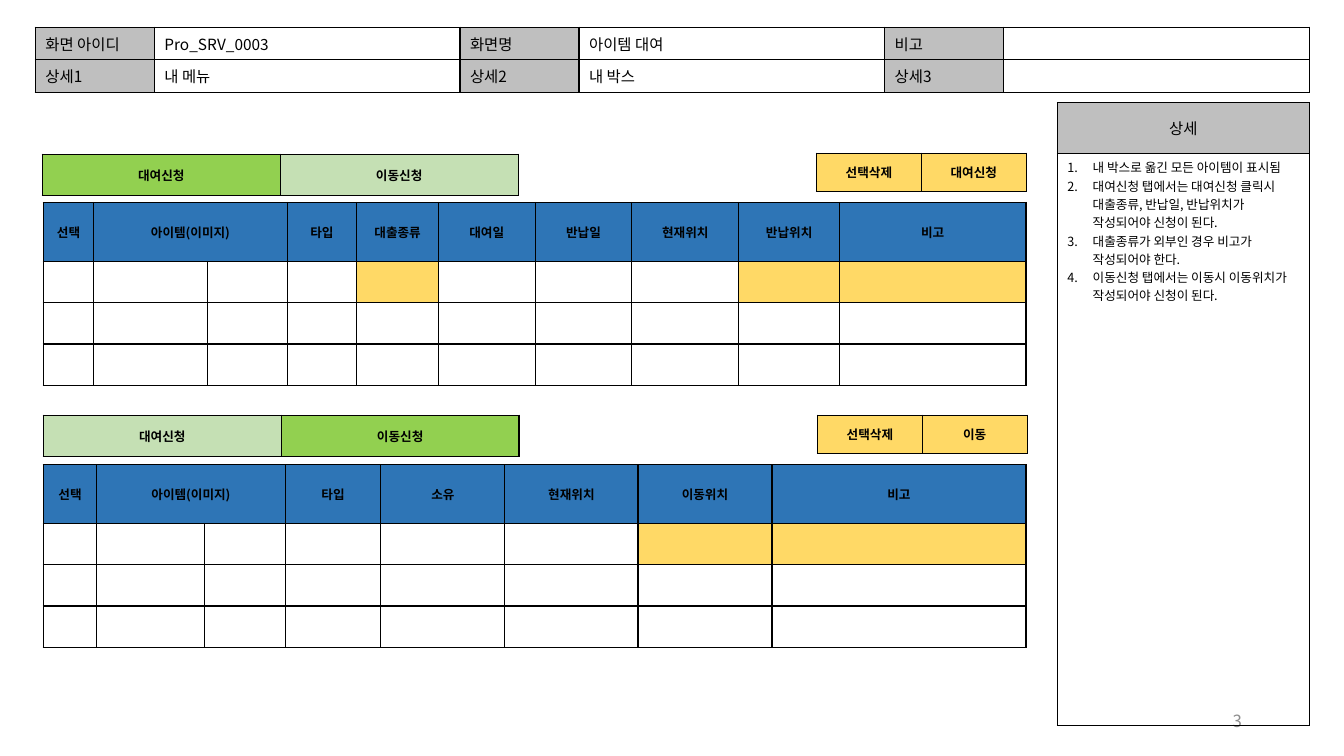
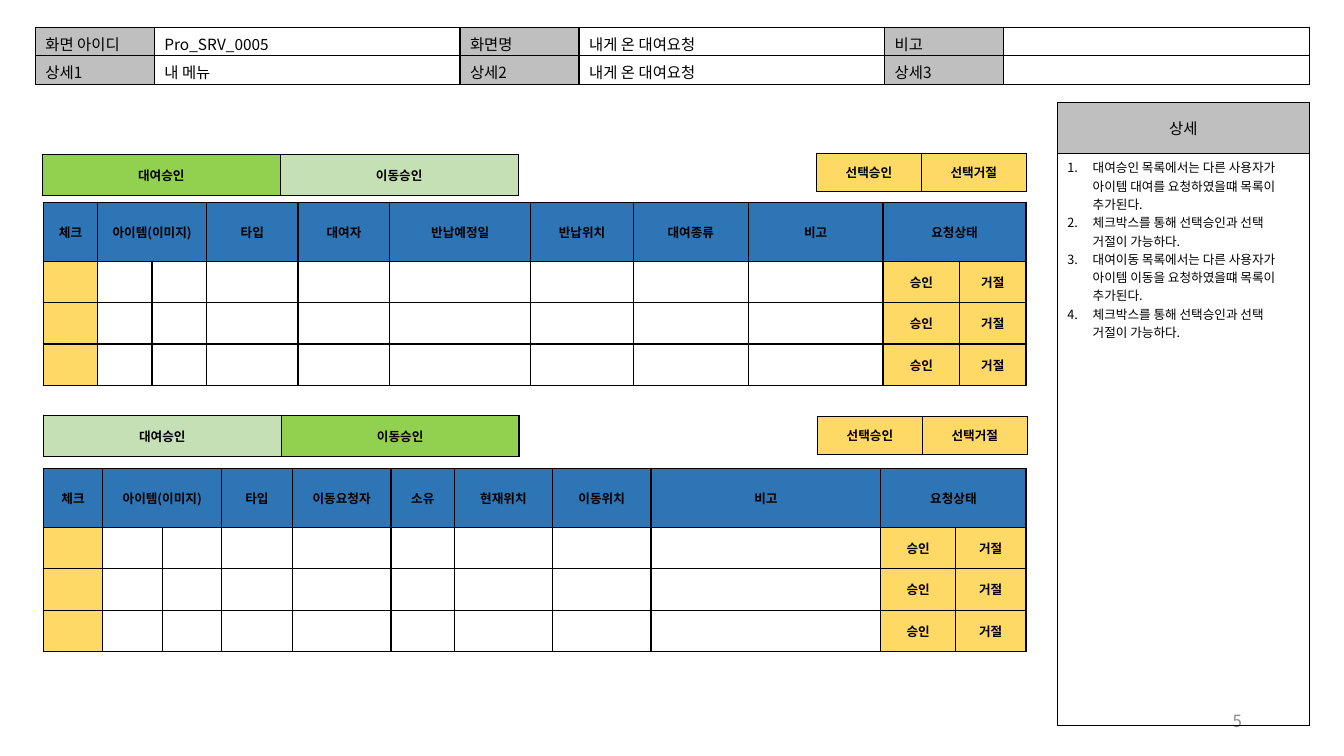
from copy import deepcopy
from dataclasses import dataclass
from typing import NamedTuple

from lxml import etree
from pptx import Presentation
from pptx.dml.color import RGBColor
from pptx.enum.text import MSO_ANCHOR, PP_ALIGN
from pptx.oxml.ns import qn
from pptx.util import Inches, Pt

# Slide grid: 160 columns by 90 rows of square units
UNIT = Inches(13.3333) // 160
SLIDE_COLUMNS, SLIDE_ROWS = 160, 90

FONT = "Noto Sans CJK KR"
BLACK = RGBColor(0x00, 0x00, 0x00)
NUMBER_GRAY = RGBColor(0x8C, 0x8C, 0x8C)
LABEL_GRAY = RGBColor(0xBF, 0xBF, 0xBF)
HEAD_BLUE = RGBColor(0x2E, 0x75, 0xB6)
YELLOW = RGBColor(0xFF, 0xD9, 0x66)
ACTIVE_GREEN = RGBColor(0x92, 0xD0, 0x50)
PALE_GREEN = RGBColor(0xC5, 0xE0, 0xB4)

GRID_LEFT, GRID_WIDTH = 5.16, 117
GRID_HEIGHTS = (7, 4.92, 4.92, 4.92)
ACTIONS_OFFSET = 92.16


@dataclass(frozen=True)
class Cell:
    lines: tuple[str, ...] = ("",)
    fill: RGBColor | None = None
    size: float = 18
    bold: bool = False
    align: PP_ALIGN = PP_ALIGN.LEFT
    anchor: MSO_ANCHOR = MSO_ANCHOR.MIDDLE
    numbered: bool = False
    span: int = 1


class Column(NamedTuple):
    title: str
    widths: tuple[int, ...]
    marked_rows: int = 0
    entries: tuple[str, ...] = ()


class Section(NamedTuple):
    left: float
    tabs_top: float
    actions_top: float
    grid_top: float
    active_tab: int
    actions: tuple[str, str]
    columns: tuple[Column, ...]


class Screen(NamedTuple):
    number: str
    code: str
    name: str
    detail: str
    tabs: tuple[str, str]
    notes: tuple[str, ...]
    sections: tuple[Section, ...]


def units(count: float) -> int:
    return round(count * UNIT)


def style_paragraph(para, text: str, size: float, color: RGBColor,
                    bold: bool, align: PP_ALIGN) -> None:
    para.alignment = align
    font = para.font
    font.size, font.name, font.bold = Pt(size), FONT, bold
    font.color.rgb = color
    defaults = para._p.pPr.find(qn("a:defRPr"))
    etree.SubElement(defaults, qn("a:ea"), typeface=FONT)
    if text:
        para.add_run().text = text
    else:
        # An empty line keeps the height of its font
        end = etree.SubElement(para._p, qn("a:endParaRPr"), dict(defaults.attrib))
        end.extend(deepcopy(child) for child in defaults)


def number_paragraph(para) -> None:
    properties = para._p.get_or_add_pPr()
    properties.set("marL", str(Inches(0.25)))
    properties.set("indent", str(-Inches(0.25)))
    bullet = etree.Element(qn("a:buAutoNum"), type="arabicPeriod")
    properties.find(qn("a:defRPr")).addprevious(bullet)


def add_borders(box) -> None:
    properties = box._tc.get_or_add_tcPr()
    for index, side in enumerate(("lnL", "lnR", "lnT", "lnB")):
        line = etree.Element(qn(f"a:{side}"), w=str(Pt(1)))
        fill = etree.SubElement(line, qn("a:solidFill"))
        etree.SubElement(fill, qn("a:srgbClr"), val=str(BLACK))
        properties.insert(index, line)


def fill_cell(box, cell: Cell) -> None:
    box.vertical_anchor = cell.anchor
    if cell.fill is None:
        box.fill.background()
    else:
        box.fill.solid()
        box.fill.fore_color.rgb = cell.fill
    add_borders(box)
    frame = box.text_frame
    for index, text in enumerate(cell.lines):
        para = frame.add_paragraph() if index else frame.paragraphs[0]
        style_paragraph(para, text, cell.size, BLACK, cell.bold, cell.align)
        if cell.numbered:
            number_paragraph(para)


def draw_table(page, left: float, top: float, width: float, shares: tuple[int, ...],
               heights: tuple[float, ...], rows: list[list[Cell]]) -> None:
    table = page.shapes.add_table(len(heights), len(shares), units(left), units(top),
                                  units(width), units(sum(heights))).table
    table.first_row = table.horz_banding = False
    for column, share in zip(table.columns, shares):
        column.width = units(width * share / sum(shares))
    for row, height in zip(table.rows, heights):
        row.height = units(height)
    for r, cells in enumerate(rows):
        for c, cell in enumerate(cells):
            fill_cell(table.cell(r, c), cell)
            if cell.span > 1:
                table.cell(r, c).merge(table.cell(r, c + cell.span - 1))


def button(text: str, fill: RGBColor, span: int = 1) -> Cell:
    return Cell((text,), fill, 9, True, PP_ALIGN.CENTER, span=span)


def draw_header(page, screen: Screen) -> None:
    pairs = ((("화면 아이디", screen.code), ("화면명", screen.name), ("비고", "")),
             (("상세1", "내 메뉴"), ("상세2", screen.detail), ("상세3", "")))
    rows = [[cell for label, value in line
             for cell in (Cell((label,), LABEL_GRAY, 11), Cell((value,), size=11))]
            for line in pairs]
    draw_table(page, 4.2, 3.24, 151.68, (118, 303) * 3, (2.88, 2.88), rows)


def draw_page_number(page, number: str) -> None:
    box = page.shapes.add_textbox(units(113.04), units(83.4), units(36), units(4.8))
    frame = box.text_frame
    frame.word_wrap = True
    frame.vertical_anchor = MSO_ANCHOR.MIDDLE
    style_paragraph(frame.paragraphs[0], number, 12, NUMBER_GRAY, False, PP_ALIGN.RIGHT)


def draw_notes(page, notes: tuple[str, ...]) -> None:
    title = Cell(("상세",), LABEL_GRAY, 11, align=PP_ALIGN.CENTER)
    body = Cell(notes, size=9, anchor=MSO_ANCHOR.TOP, numbered=True)
    draw_table(page, 125.88, 12.24, 30, (1,), (6, 68.16), [[title], [body]])


def draw_grid(page, section: Section) -> None:
    head: list[Cell] = []
    for column in section.columns:
        span = len(column.widths)
        head.append(button(column.title, HEAD_BLUE, span))
        head.extend([Cell(fill=HEAD_BLUE)] * (span - 1))
    rows = [head]
    for index in range(len(GRID_HEIGHTS) - 1):
        row: list[Cell] = []
        for column in section.columns:
            if column.entries:
                row.extend(button(entry, YELLOW) for entry in column.entries)
            else:
                fill = YELLOW if index < column.marked_rows else None
                row.extend([Cell(fill=fill)] * len(column.widths))
        rows.append(row)
    shares = tuple(width for column in section.columns for width in column.widths)
    draw_table(page, GRID_LEFT, section.grid_top, GRID_WIDTH, shares, GRID_HEIGHTS, rows)


def draw_section(page, section: Section, tabs: tuple[str, str]) -> None:
    draw_grid(page, section)
    tab_cells = [button(tab, ACTIVE_GREEN if index == section.active_tab else PALE_GREEN)
                 for index, tab in enumerate(tabs)]
    draw_table(page, section.left, section.tabs_top, 56.64, (1, 1), (4.92,), [tab_cells])
    action_cells = [button(action, YELLOW) for action in section.actions]
    draw_table(page, section.left + ACTIONS_OFFSET, section.actions_top, 24.96,
               (1, 1), (4.56,), [action_cells])


def draw_screen(deck, screen: Screen) -> None:
    page = deck.slides.add_slide(deck.slide_layouts[6])
    draw_header(page, screen)
    draw_page_number(page, screen.number)
    draw_notes(page, screen.notes)
    for section in screen.sections:
        draw_section(page, section, screen.tabs)


# Screen contents
ITEM = "아이템(이미지)"
DECISIONS = ("승인", "거절")
APPROVAL_ACTIONS = ("선택승인", "선택거절")
APPROVAL_NOTE = "체크박스를 통해 선택승인과 선택 거절이 가능하다."

RENTAL = Screen(
    "3", "Pro_SRV_0003", "아이템 대여", "내 박스", ("대여신청", "이동신청"),
    ("내 박스로 옮긴 모든 아이템이 표시됨",
     "대여신청 탭에서는 대여신청 클릭시 대출종류, 반납일, 반납위치가 작성되어야 신청이 된다.",
     "대출종류가 외부인 경우 비고가 작성되어야 한다.",
     "이동신청 탭에서는 이동시 이동위치가 작성되어야 신청이 된다."),
    (Section(5.04, 18.36, 18.24, 24.12, 0, ("선택삭제", "대여신청"), (
        Column("선택", (50,)), Column(ITEM, (113, 79)), Column("타입", (69,)),
        Column("대출종류", (81,), 1), Column("대여일", (96,)), Column("반납일", (96,)),
        Column("현재위치", (106,)), Column("반납위치", (100,), 1),
        Column("비고", (185,), 1))),
     Section(5.16, 49.44, 49.44, 55.32, 1, ("선택삭제", "이동"), (
        Column("선택", (53,)), Column(ITEM, (107, 80)), Column("타입", (95,)),
        Column("소유", (123,)), Column("현재위치", (132,)),
        Column("이동위치", (133,), 1), Column("비고", (252,), 1)))))

REQUESTS = Screen(
    "5", "Pro_SRV_0005", "내게 온 대여요청", "내게 온 대여요청", ("대여승인", "이동승인"),
    ("대여승인 목록에서는 다른 사용자가 아이템 대여를 요청하였을떄 목록이 추가된다.",
     APPROVAL_NOTE,
     "대여이동 목록에서는 다른 사용자가 아이템 이동을 요청하였을떄 목록이 추가된다.",
     APPROVAL_NOTE),
    (Section(5.04, 18.36, 18.24, 24.12, 0, APPROVAL_ACTIONS, (
        Column("체크", (54,), 3), Column(ITEM, (54, 54)), Column("타입", (91,)),
        Column("대여자", (91,)), Column("반납예정일", (140,)), Column("반납위치", (102,)),
        Column("대여종류", (114,)), Column("비고", (134,)),
        Column("요청상태", (76, 66), entries=DECISIONS))),
     Section(5.16, 49.44, 49.56, 55.8, 1, APPROVAL_ACTIONS, (
        Column("체크", (59,), 3), Column(ITEM, (59, 59)), Column("타입", (70,)),
        Column("이동요청자", (98,)), Column("소유", (63,)), Column("현재위치", (97,)),
        Column("이동위치", (98,)), Column("비고", (228,)),
        Column("요청상태", (74, 70), entries=DECISIONS)))))

# Build the deck
deck = Presentation()
deck.slide_width, deck.slide_height = units(SLIDE_COLUMNS), units(SLIDE_ROWS)
for screen in (RENTAL, REQUESTS):
    draw_screen(deck, screen)
deck.save("out.pptx")
